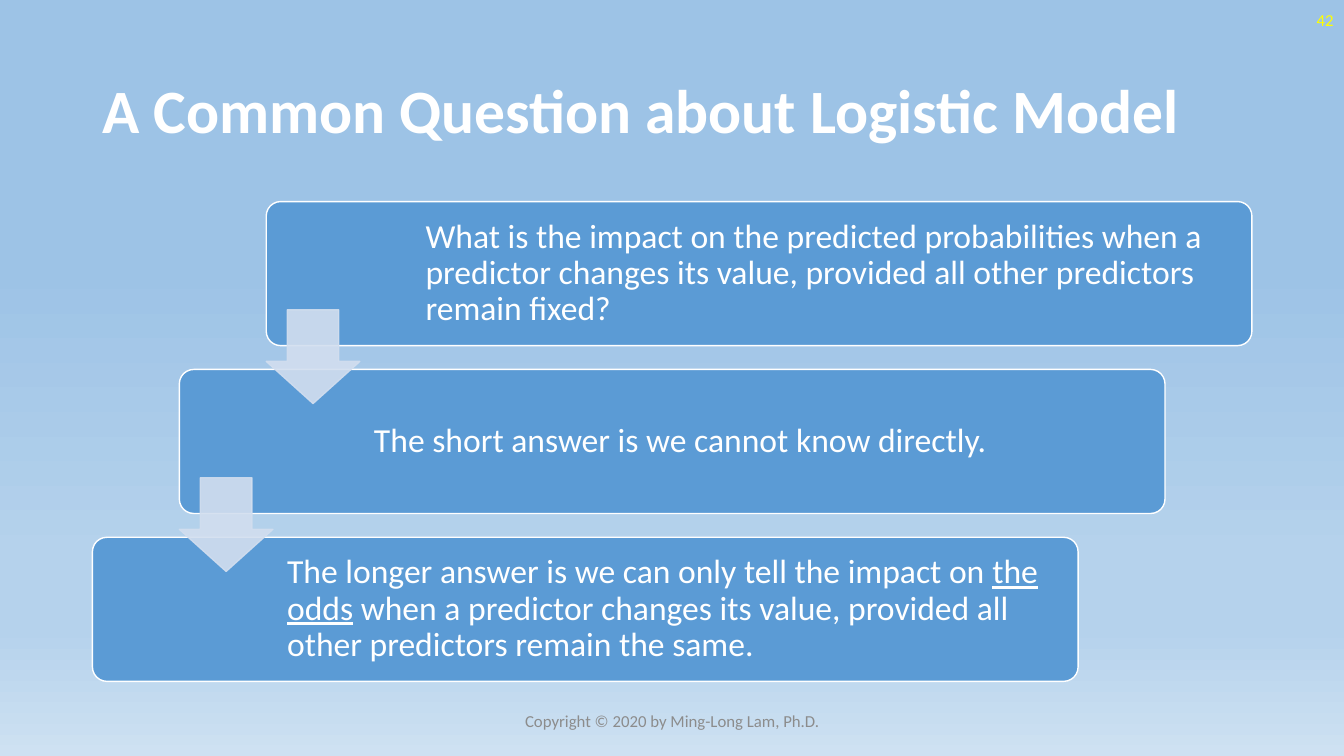
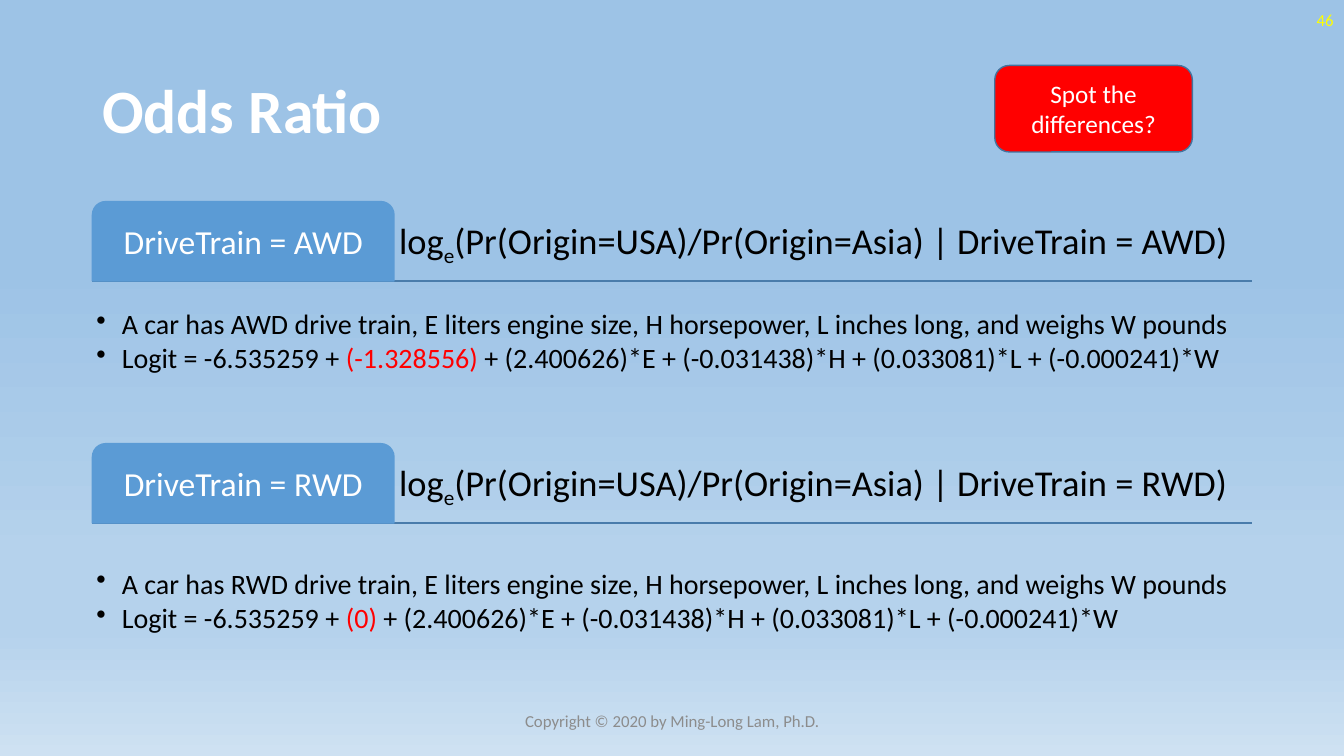
import pptx
import pptx.dml.color
import pptx.enum.shapes
import pptx.enum.text
import pptx.oxml
import pptx.oxml.ns
import pptx.util

Cm = pptx.util.Cm
Pt = pptx.util.Pt
qn = pptx.oxml.ns.qn
SHAPE = pptx.enum.shapes.MSO_SHAPE
ALIGN = pptx.enum.text.PP_ALIGN
MIDDLE = pptx.enum.text.MSO_ANCHOR.MIDDLE

COLORS = {
    "white": "FFFFFF", "black": "000000", "red": "FF0000", "yellow": "FFFF00",
    "gray": "8C8C8C", "blue": "5B9BD5", "pale": "D2DEEF",
    "rule": "497CAB", "callout line": "43739E",
    "sky": "9DC3E6", "haze": "B5D2EC", "horizon": "CEE1F2",
}
LEFT, WIDTH, CONTENT_TOP = 2.33, 29.21, 5.08


def write_text(shape, paragraphs, size, color, align=ALIGN.LEFT, margins=None,
               bullet=False, bold=False, line_spacing=1.0):
    """Fill a shape; each paragraph is a list of (text, run overrides)."""
    frame = shape.text_frame
    frame_format = {"word_wrap": True, "vertical_anchor": MIDDLE}
    for side, margin in (margins or {}).items():
        frame_format["margin_" + side] = Cm(margin)
    for name, value in frame_format.items():
        setattr(frame, name, value)
    for index, runs in enumerate(paragraphs):
        paragraph = frame.add_paragraph() if index else frame.paragraphs[0]
        paragraph_format = {"alignment": align, "line_spacing": line_spacing}
        if bullet:
            paragraph_format["space_after"] = Pt(3)
        for name, value in paragraph_format.items():
            setattr(paragraph, name, value)
        if bullet:
            properties = paragraph._p.get_or_add_pPr()
            properties.set("marL", str(Cm(0.64)))
            properties.set("indent", str(Cm(-0.64)))
            properties.append(pptx.oxml.parse_xml(
                f'<a:buChar {pptx.oxml.ns.nsdecls("a")} char="•"/>'))
        for text, overrides in runs:
            run = paragraph.add_run()
            run.text = text
            font_format = {"name": "Calibri", "size": Pt(size), "bold": bold,
                           "underline": overrides.get("underline", False)}
            for name, value in font_format.items():
                setattr(run.font, name, value)
            run.font.color.rgb = pptx.dml.color.RGBColor.from_string(
                COLORS[overrides.get("color", color)])
            if "baseline" in overrides:
                run._r.get_or_add_rPr().set("baseline", overrides["baseline"])


def add_block(slide, kind, box, fill, line, adjustments=()):
    """Add a preset shape with a solid fill and a 1 pt outline."""
    shape = slide.shapes.add_shape(kind, *map(Cm, box))
    shape.shadow.inherit = False
    shape.fill.solid()
    shape.fill.fore_color.rgb = pptx.dml.color.RGBColor.from_string(COLORS[fill])
    shape.line.color.rgb = pptx.dml.color.RGBColor.from_string(COLORS[line])
    shape.line.width = Pt(1)
    for index, value in enumerate(adjustments):
        shape.adjustments[index] = value
    return shape


presentation = pptx.Presentation()
presentation.slide_width = Cm(33.87)
presentation.slide_height = Cm(19.05)

# Shared gradient background
master = presentation.slide_master
master.background.fill.gradient()
master.background.fill.gradient_angle = 270
stop_list = next(master.element.iter(qn("a:gsLst")))
for stop in list(stop_list):
    stop_list.remove(stop)
for position, color in ((35, "sky"), (74, "haze"), (83, "haze"), (100, "horizon")):
    stop_list.append(pptx.oxml.parse_xml(
        f'<a:gs {pptx.oxml.ns.nsdecls("a")} pos="{position * 1000}">'
        f'<a:srgbClr val="{COLORS[color]}"/></a:gs>'))

# Slides with title, page number and footer
slides = []
for title, number in (("A Common Question about Logistic Model", "42"),
                      ("Odds Ratio", "46")):
    slide = presentation.slides.add_slide(presentation.slide_layouts[6])
    slides.append(slide)
    for text, box, text_format in (
        (title, (LEFT, 1.02, WIDTH, 3.68),
         {"size": 44, "color": "white", "bold": True, "line_spacing": 0.9}),
        (number, (26.24, 0, 7.62, 1.02),
         {"size": 12, "color": "yellow", "align": ALIGN.RIGHT}),
        ("Copyright © 2020 by Ming-Long Lam, Ph.D.", (11.23, 17.65, 11.43, 1.02),
         {"size": 12, "color": "gray", "align": ALIGN.CENTER}),
    ):
        write_text(slide.shapes.add_textbox(*map(Cm, box)), [[(text, {})]],
                   **text_format)
question_slide, odds_slide = slides

# Question slide: staircase of cards
CARD_STEP_X, CARD_STEP_Y = 2.19, 4.23
cards = (
    (3.91, [("What is the impact on the predicted probabilities when a predictor "
             "changes its value, provided all other predictors remain fixed?", {})]),
    (4.8, [("The short answer is we cannot know directly.", {})]),
    (4.8, [("The longer answer is we can only tell the impact on ", {}),
           ("the odds", {"underline": True}),
           (" when a predictor changes its value, provided all other predictors "
            "remain the same.", {})]),
)
corners = [(LEFT + CARD_STEP_X * (2 - index), CONTENT_TOP + CARD_STEP_Y * index)
           for index in range(len(cards))]
for (left, top), (text_indent, runs) in zip(corners, cards):
    card = add_block(question_slide, SHAPE.ROUNDED_RECTANGLE,
                     (left, top, 24.84, 3.63), "blue", "white", (0.1,))
    write_text(card, [runs], 24, "white", line_spacing=0.9,
               margins={"left": text_indent, "right": 0.27,
                        "top": 0.25, "bottom": 0.25})

# Translucent arrows between the cards
for left, top in corners[:-1]:
    arrow = add_block(question_slide, SHAPE.DOWN_ARROW,
                      (left, top + 2.73, 2.36, 2.36), "pale", "pale")
    arrow.adjustments[0] = 0.45
    arrow.adjustments[1] = 0.55
    arrow.adjustments[0], arrow.adjustments[1] = 0.55, 0.45
    for color_element in arrow.element.spPr.iter(qn("a:srgbClr")):
        color_element.append(pptx.oxml.parse_xml(
            f'<a:alpha {pptx.oxml.ns.nsdecls("a")} val="90000"/>'))

# Odds slide: one section per drive train
TAB_WIDTH, TAB_HEIGHT, SECTION_STEP = 7.6, 2, 6.1
HEADING_MARGINS = dict.fromkeys(("left", "right", "top", "bottom"), 0.13)
BODY_MARGINS = dict.fromkeys(("left", "right", "top", "bottom"), 0.1)
sections = (("AWD", "(-1.328556)", 3.1), ("RWD", "(0)", 3.99))
for index, (drive, coefficient, body_height) in enumerate(sections):
    top = CONTENT_TOP + SECTION_STEP * index
    bottom = top + TAB_HEIGHT
    rule = odds_slide.shapes.add_connector(
        pptx.enum.shapes.MSO_CONNECTOR.STRAIGHT,
        Cm(LEFT), Cm(bottom), Cm(LEFT + WIDTH), Cm(bottom))
    rule.line.color.rgb = pptx.dml.color.RGBColor.from_string(COLORS["rule"])
    rule.line.width = Pt(1)
    rule.element.spPr.append(pptx.oxml.parse_xml(
        f'<a:effectLst {pptx.oxml.ns.nsdecls("a")}/>'))

    tab = add_block(odds_slide, SHAPE.ROUND_2_SAME_RECTANGLE,
                    (LEFT, top, TAB_WIDTH, TAB_HEIGHT), "blue", "blue", (0.167, 0))
    write_text(tab, [[(f"DriveTrain = {drive}", {})]], 24, "white", ALIGN.CENTER,
               HEADING_MARGINS, line_spacing=0.9)

    heading = odds_slide.shapes.add_textbox(
        Cm(LEFT + TAB_WIDTH), Cm(top), Cm(WIDTH - TAB_WIDTH), Cm(TAB_HEIGHT))
    write_text(heading, [[
        ("log", {}), ("e", {"baseline": "-25000"}),
        (f"(Pr(Origin=USA)/Pr(Origin=Asia) | DriveTrain = {drive})", {}),
    ]], 26, "black", margins=HEADING_MARGINS, line_spacing=0.9)

    body = odds_slide.shapes.add_textbox(
        Cm(LEFT), Cm(bottom), Cm(WIDTH), Cm(body_height))
    write_text(body, [
        [(f"A car has {drive} drive train, E liters engine size, H horsepower, "
          "L inches long, and weighs W pounds", {})],
        [("Logit = -6.535259 + ", {}), (coefficient, {"color": "red"}),
         (" + (2.400626)*E + (-0.031438)*H + (0.033081)*L + (-0.000241)*W", {})],
    ], 20, "black", margins=BODY_MARGINS, bullet=True, line_spacing=0.9)

# Callout
callout = add_block(odds_slide, SHAPE.ROUNDED_RECTANGLE,
                    (25.07, 1.65, 4.98, 2.18), "red", "callout line")
write_text(callout, [[("Spot the differences?", {})]], 18, "white", ALIGN.CENTER)

presentation.save("out.pptx")
